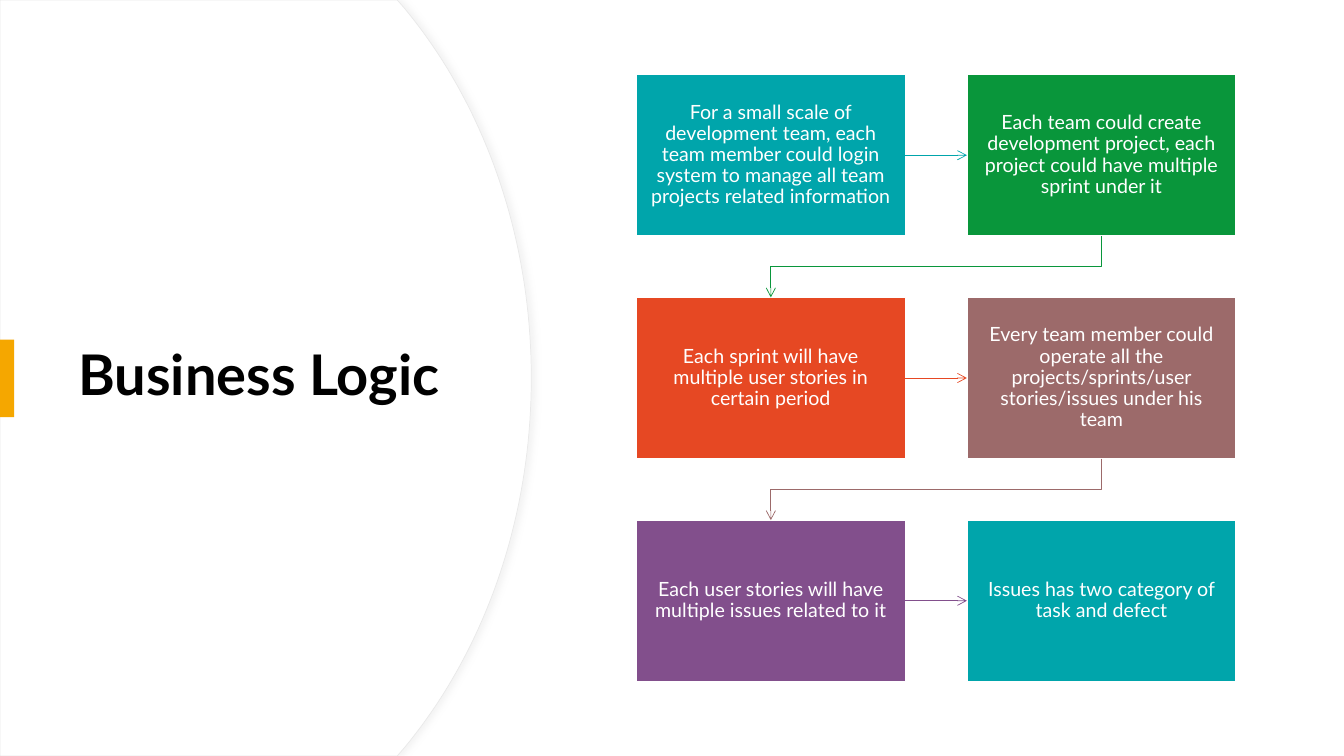
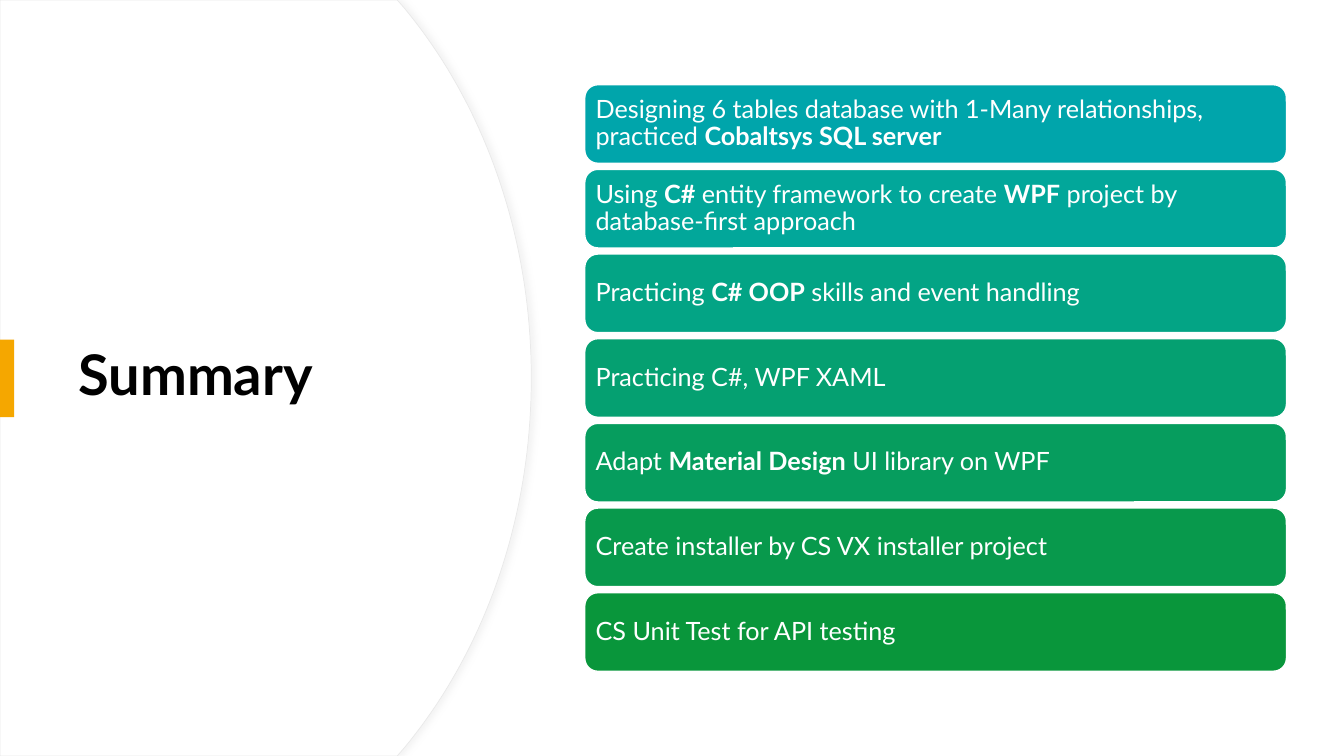
import lxml.etree
import pptx
import pptx.dml.color
import pptx.enum.shapes
import pptx.enum.text
import pptx.oxml.ns
import pptx.util

Inches = pptx.util.Inches
Pt = pptx.util.Pt
RGBColor = pptx.dml.color.RGBColor
SHAPE = pptx.enum.shapes.MSO_SHAPE
CONNECTOR = pptx.enum.shapes.MSO_CONNECTOR
ALIGN = pptx.enum.text.PP_ALIGN
qn = pptx.oxml.ns.qn

# Shared colours and formats
WHITE = RGBColor(0xFF, 0xFF, 0xFF)
BLACK = RGBColor(0x00, 0x00, 0x00)
EDGE = RGBColor(0xE9, 0xE9, 0xE9)
SHADOW = RGBColor(0xD9, 0xD9, 0xD9)
AMBER = RGBColor(0xF5, 0xA7, 0x00)
TEAL = RGBColor(0x00, 0xA5, 0xAB)
GREEN = RGBColor(0x09, 0x96, 0x3B)
ORANGE = RGBColor(0xE6, 0x48, 0x23)
MAUVE = RGBColor(0x9C, 0x6A, 0x6A)
PURPLE = RGBColor(0x82, 0x4F, 0x8C)
BAR_COLOURS = [TEAL, RGBColor(0x02, 0xA7, 0x9A), RGBColor(0x03, 0xA4, 0x85),
               RGBColor(0x05, 0xA0, 0x71), RGBColor(0x06, 0x9D, 0x5E),
               RGBColor(0x08, 0x99, 0x4C), GREEN]

TITLE_FONT = {"name": "Lato", "size": Pt(40), "bold": True}
STEP_FONT = {"name": "Lato", "size": Pt(14), "bold": False}
BAR_FONT = {"name": "Lato", "size": Pt(18), "bold": False}

STEPS = [
    ("For a small scale of development team, each team member could login "
     "system to manage all team projects related information", TEAL),
    ("Each team could create development project, each project could have "
     "multiple sprint under it", GREEN),
    ("Each sprint will have multiple user stories in certain period", ORANGE),
    ("Every team member could operate all the projects/sprints/user "
     "stories/issues under his team", MAUVE),
    ("Each user stories will have multiple issues related to it", PURPLE),
    ("Issues has two category of task and defect", TEAL),
]

# Asterisks enclose bold words
SUMMARY = [
    "Designing 6 tables database with 1-Many relationships, "
    "practiced *Cobaltsys SQL server*",
    "Using *C#* entity framework to create *WPF* project by "
    "database-first approach",
    "Practicing *C# OOP* skills and event handling",
    "Practicing C#, WPF XAML",
    "Adapt *Material Design* UI library on WPF",
    "Create installer by CS VX installer project",
    "CS Unit Test for API testing",
]


def set_all(target, values):
    for name, value in values.items():
        setattr(target, name, value)


def write_text(shape, text, font, colour, align, inset_x, inset_y):
    frame = shape.text_frame
    set_all(frame, {
        "word_wrap": True,
        "vertical_anchor": pptx.enum.text.MSO_ANCHOR.MIDDLE,
        "margin_left": Inches(inset_x), "margin_right": Inches(inset_x),
        "margin_top": Inches(inset_y), "margin_bottom": Inches(inset_y),
    })
    para = frame.paragraphs[0]
    set_all(para, {"alignment": align, "line_spacing": 0.9})
    for index, part in enumerate(text.split("*")):
        if part:
            span = para.add_run()
            span.text = part
            set_all(span.font, font)
            span.font.color.rgb = colour
            if index % 2:
                span.font.bold = True


def paint(shape, fill, line=None, width=1):
    shape.shadow.inherit = False
    shape.fill.solid()
    shape.fill.fore_color.rgb = fill
    if line is None:
        shape.line.fill.background()
    else:
        shape.line.color.rgb = line
        shape.line.width = Pt(width)


def add_box(page, kind, left, top, width, height, fill, line=None):
    box = page.shapes.add_shape(kind, Inches(left), Inches(top),
                                Inches(width), Inches(height))
    paint(box, fill, line)
    return box


def curve(start, control_1, control_2, end, steps=40):
    """Points along a cubic curve, without its start."""
    for step in range(1, steps + 1):
        t = step / steps
        weights = ((1 - t) ** 3, 3 * t * (1 - t) ** 2, 3 * t * t * (1 - t), t ** 3)
        points = (start, control_1, control_2, end)
        yield tuple(sum(w * p[axis] for w, p in zip(weights, points))
                    for axis in (0, 1))


def add_panel(page):
    """White panel with a bulging right edge and a soft shadow."""
    upper = [(3.94, 0), (4.01, 0.08),
             *curve((4.01, 0.08), (4.79, 1.02), (5.27, 2.32), (5.27, 3.75))]
    lower = [(x, 7.5 - y) for x, y in reversed(upper[:-1])]
    outline = [(Inches(x), Inches(y)) for x, y in upper + lower + [(0, 7.5)]]
    builder = page.shapes.build_freeform(0, 0)
    builder.add_line_segments(outline, close=True)
    panel = builder.convert_to_shape()
    paint(panel, WHITE, EDGE, 0.5)
    effects = panel._element.spPr.find(qn("a:effectLst"))
    shadow = lxml.etree.SubElement(effects, qn("a:outerShdw"), {
        "blurRad": str(Pt(4)), "dist": str(Pt(3)), "dir": "0"})
    colour = lxml.etree.SubElement(shadow, qn("a:srgbClr"), val=str(SHADOW))
    lxml.etree.SubElement(colour, qn("a:alpha"), val="30000")


def add_titled_page(deck, title):
    page = deck.slides.add_slide(deck.slide_layouts[6])
    add_panel(page)
    box = page.shapes.add_textbox(Inches(0.68), Inches(1.27),
                                  Inches(3.94), Inches(4.95))
    write_text(box, title, TITLE_FONT, BLACK, ALIGN.LEFT, 0.1, 0.05)
    add_box(page, SHAPE.RECTANGLE, 0, 3.37, 0.14, 0.77, AMBER)
    return page


def add_arrow(page, kind, source, source_side, target, target_side, colour):
    arrow = page.shapes.add_connector(kind, 0, 0, 0, 0)
    arrow.begin_connect(source, source_side)
    arrow.end_connect(target, target_side)
    arrow.line.color.rgb = colour
    arrow.line.width = Pt(0.5)
    properties = arrow._element.spPr
    lxml.etree.SubElement(properties.find(qn("a:ln")), qn("a:tailEnd"), type="arrow")
    lxml.etree.SubElement(properties, qn("a:effectLst"))
    return arrow


def turn_elbow(arrow):
    """Turn an elbow a quarter so that it leaves downwards, to the left."""
    width, height = arrow.width, arrow.height
    shift = (width - height) // 2
    set_all(arrow, {"left": arrow.left + shift, "top": arrow.top - shift,
                    "width": height, "height": width})
    frame = arrow._element.spPr.find(qn("a:xfrm"))
    frame.attrib.pop("flipH", None)
    frame.set("rot", "5400000")


def build_logic(deck):
    page = add_titled_page(deck, "Business Logic")

    # Steps in two columns
    boxes = []
    for index, (text, colour) in enumerate(STEPS):
        row, column = divmod(index, 2)
        box = add_box(page, SHAPE.RECTANGLE, 6.31 + 3.28 * column,
                      0.74 + 2.21 * row, 2.67, 1.6, colour, WHITE)
        write_text(box, text, STEP_FONT, WHITE, ALIGN.CENTER, 0.13, 0.14)
        boxes.append(box)

    # Arrows across each row and down to the next one
    for index, (source, target) in enumerate(zip(boxes, boxes[1:])):
        colour = STEPS[index][1]
        if index % 2 == 0:
            add_arrow(page, CONNECTOR.STRAIGHT, source, 3, target, 1, colour)
        else:
            turn_elbow(add_arrow(page, CONNECTOR.ELBOW, source, 2, target, 0, colour))


def build_summary(deck):
    page = add_titled_page(deck, "Summary")
    for index, (text, colour) in enumerate(zip(SUMMARY, BAR_COLOURS)):
        bar = add_box(page, SHAPE.ROUNDED_RECTANGLE, 5.8, 0.84 + 0.84 * index,
                      6.96, 0.78, colour, WHITE)
        write_text(bar, text, BAR_FONT, WHITE, ALIGN.LEFT, 0.07, 0.07)


def main():
    deck = pptx.Presentation()
    deck.slide_width = Inches(13.33)
    deck.slide_height = Inches(7.5)
    build_logic(deck)
    build_summary(deck)
    deck.save("out.pptx")


if __name__ == "__main__":
    main()
